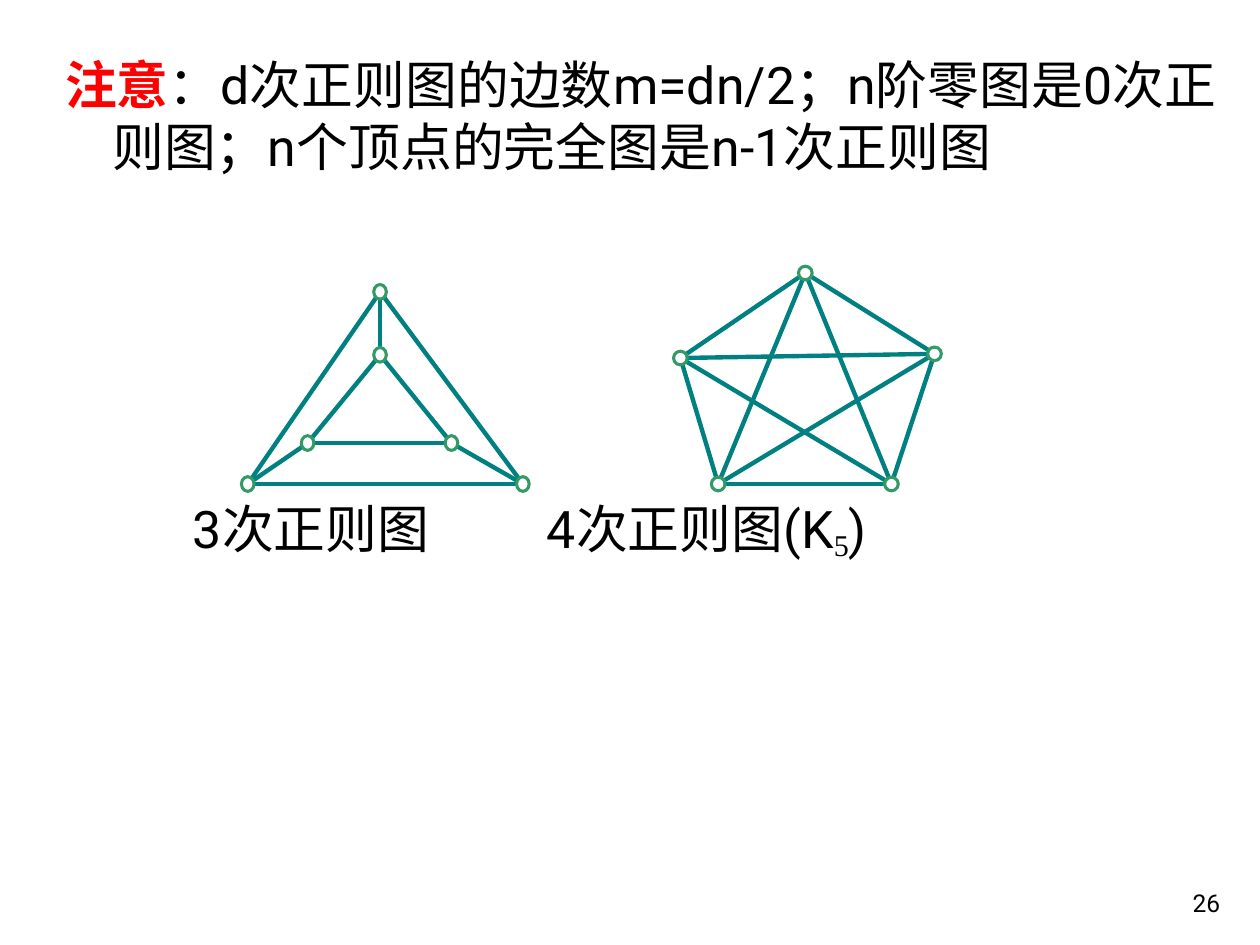
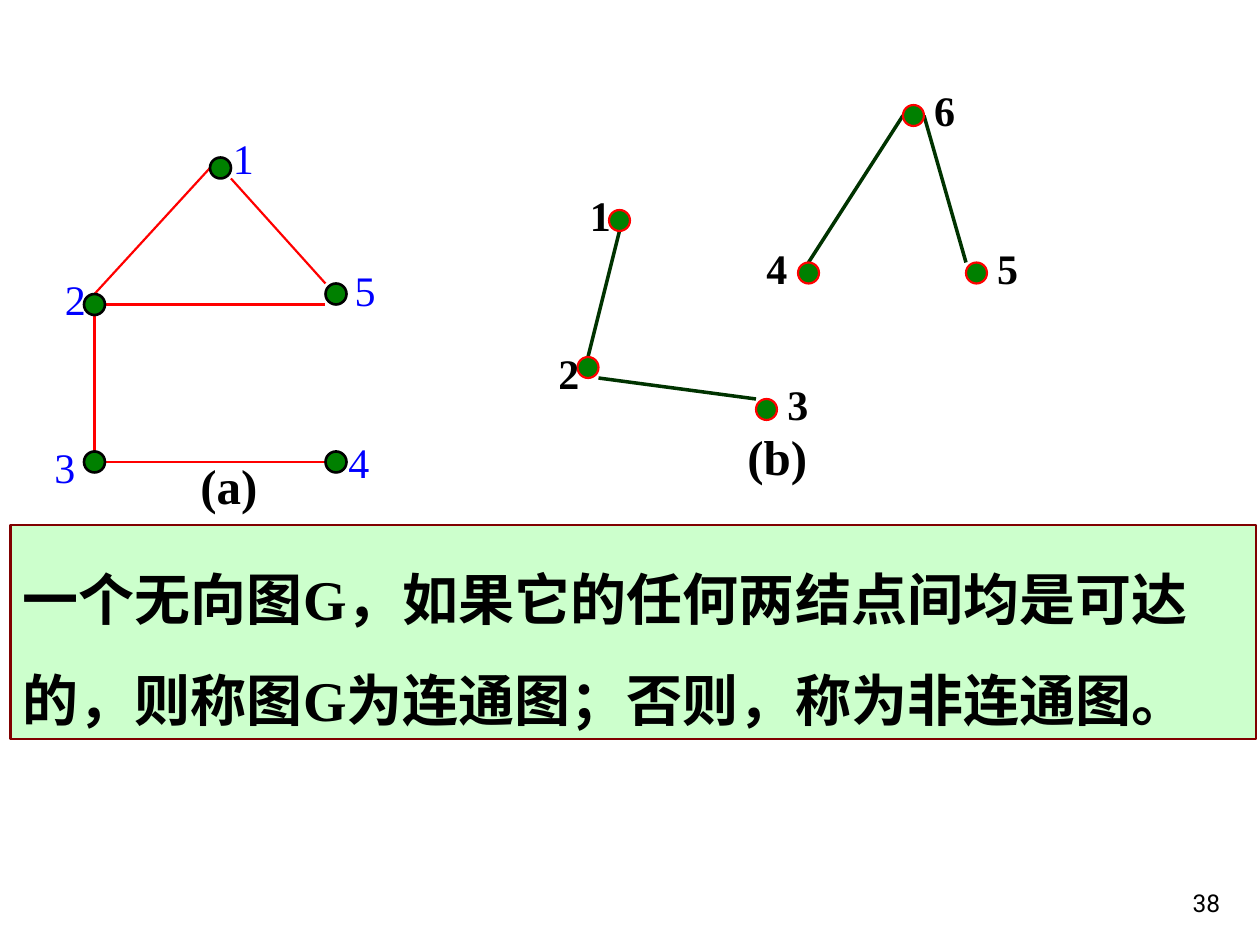
from itertools import combinations

from lxml import etree
from pptx import Presentation
from pptx import util as u
from pptx.dml.color import RGBColor
from pptx.enum import shapes, text
from pptx.oxml import ns

COLUMNS, ROWS = 120, 90
SLIDE_WIDTH, SLIDE_HEIGHT = u.Inches(10), u.Inches(7.5)
COLORS = {
    "ink": "000000", "alert": "FF0000", "paper": "FFFFFF", "teal": "008080",
    "ring": "339966", "vertex": "008000", "label": "0000FF", "pine": "003300",
    "panel": "CCFFCC", "maroon": "800000",
}
SANS, SERIF, HAN = "Roboto", "Times New Roman", "Noto Sans CJK SC"
NOTE_SIZE = 29.6

PRISM = [(23.6, 46.1), (36.2, 27.8), (49.8, 46.1), (29.3, 42.2), (36.2, 33.8), (43, 42.2)]
PRISM_EDGES = [(0, 1), (1, 2), (0, 2), (3, 4), (4, 5), (3, 5), (0, 3), (1, 4), (2, 5)]
PENTAGON = [(76.7, 26), (64.8, 34.1), (89, 33.7), (68.4, 46.1), (84.9, 46.1)]

CONNECTED = [(21, 16), (9, 29), (9, 44), (32, 44), (32, 28)]
CONNECTED_LINES = [((20, 16), (9, 28)), ((10, 29), (31, 29)), ((9, 30), (9, 43)),
                   ((10, 44), (31, 44)), ((22, 17), (31, 27))]
CONNECTED_LABELS = [(21, 12), (5, 25.5), (4, 41.5), (32, 41), (32.6, 24.6)]

SPLIT = [(59, 21), (56, 35), (73, 39), (77, 26), (93, 26), (87, 11)]
SPLIT_LINES = [((56, 34), (59, 22)), ((57, 36), (72, 38)),
               ((77, 25), (86, 11)), ((88, 11), (92, 25))]
SPLIT_LABELS = [(55, 17.5), (52, 32.5), (73.8, 35.5), (71.8, 22.5), (93.8, 22.5), (87.8, 7.5)]


def color(name):
    return RGBColor.from_string(COLORS[name])


def across(columns):
    return round(SLIDE_WIDTH * columns / COLUMNS)


def down(rows):
    return round(SLIDE_HEIGHT * rows / ROWS)


def place(left, top, width, height):
    return across(left), down(top), across(width), down(height)


def add_run(paragraph, words, size, font=SANS, ink="ink", bold=False, baseline=None):
    run = paragraph.add_run()
    run.text = words
    run.font.size = u.Pt(size)
    run.font.bold = bold
    run.font.color.rgb = color(ink)
    run.font.name = font
    properties = run._r.get_or_add_rPr()
    etree.SubElement(properties, ns.qn("a:ea")).set("typeface", HAN)
    if baseline:
        properties.set("baseline", str(baseline))


def add_label(slide, box, words, size, wrap=False, **style):
    frame = slide.shapes.add_textbox(*place(*box)).text_frame
    frame.word_wrap = wrap
    add_run(frame.paragraphs[0], words, size, **style)
    return frame


def add_page_number(slide, number):
    frame = add_label(slide, (92.4, 82, 25, 6), number, 14, wrap=True)
    frame.vertical_anchor = text.MSO_ANCHOR.BOTTOM
    frame.paragraphs[0].alignment = text.PP_ALIGN.RIGHT


def add_filled(slide, kind, box, fill, line, weight):
    shape = slide.shapes.add_shape(kind, *place(*box))
    shape.shadow.inherit = False
    shape.fill.solid()
    shape.fill.fore_color.rgb = color(fill)
    shape.line.color.rgb = color(line)
    shape.line.width = u.Pt(weight)
    return shape


def add_edge(slide, start, end, ink, weight):
    edge = slide.shapes.add_connector(
        shapes.MSO_CONNECTOR.STRAIGHT,
        across(start[0]), down(start[1]), across(end[0]), down(end[1]))
    edge.line.color.rgb = color(ink)
    edge.line.width = u.Pt(weight)
    etree.SubElement(edge._element.spPr, ns.qn("a:effectLst"))


def add_graph(slide, vertices, lines, edge_style, vertex_style, size):
    for start, end in lines:
        add_edge(slide, start, end, *edge_style)
    width, height = size
    for x, y in vertices:
        box = (x - width / 2, y - height / 2, width, height)
        add_filled(slide, shapes.MSO_SHAPE.OVAL, box, *vertex_style)


def add_vertex_labels(slide, positions, **style):
    for number, (left, top) in enumerate(positions, 1):
        add_label(slide, (left, top, 4.3, 6), str(number), 24, font=SERIF, **style)


def add_note(slide):
    title, body = slide.placeholders[0], slide.placeholders[1]
    title._element.getparent().remove(title._element)
    body.left, body.top, body.width, body.height = place(5, 4.4, 112.6, 14)
    frame = body.text_frame
    frame.auto_size = text.MSO_AUTO_SIZE.NONE
    frame.vertical_anchor = text.MSO_ANCHOR.TOP

    note = frame.paragraphs[0]
    properties = note._p.get_or_add_pPr()
    properties.set("marL", str(across(4.5)))
    properties.set("indent", str(-across(4.5)))
    etree.SubElement(properties, ns.qn("a:buNone"))
    note.space_before = u.Pt(0)
    add_run(note, "注意", NOTE_SIZE, ink="alert", bold=True)
    add_run(note, "：d次正则图的边数m=dn/2；n阶零图是0次正则图；n个顶点的完全图是n-1次正则图", NOTE_SIZE)


def add_captions(slide):
    top, height = 46.7, 7
    add_label(slide, (17.2, top, 30, height), "3次正则图", NOTE_SIZE, wrap=True)
    frame = add_label(slide, (50.9, top, 38, height), "4次正则图(K", NOTE_SIZE, wrap=True)
    caption = frame.paragraphs[0]
    add_run(caption, "5", NOTE_SIZE, font=SERIF, baseline=-16000)
    add_run(caption, ")", NOTE_SIZE)


def add_definition(slide, lines):
    panel = add_filled(slide, shapes.MSO_SHAPE.RECTANGLE, (1, 50, 118.6, 20.4),
                       "panel", "maroon", 1.25)
    frame = panel.text_frame
    frame.word_wrap = True
    frame.vertical_anchor = text.MSO_ANCHOR.TOP
    for index, (before, after) in enumerate(lines):
        paragraph = frame.add_paragraph() if index else frame.paragraphs[0]
        paragraph.alignment = text.PP_ALIGN.LEFT
        paragraph.line_spacing = 1.5
        for words, font in ((before, HAN), ("G", SERIF), (after, HAN)):
            add_run(paragraph, words, 32, font=font, bold=True)


def build_regular_graphs(presentation):
    slide = presentation.slides.add_slide(presentation.slide_layouts[1])
    add_note(slide)
    add_captions(slide)
    edge_style, vertex_style = ("teal", 2.5), ("paper", "ring", 1.75)
    add_graph(slide, PENTAGON, combinations(PENTAGON, 2), edge_style, vertex_style, (1.3, 1.3))
    prism_lines = [(PRISM[start], PRISM[end]) for start, end in PRISM_EDGES]
    add_graph(slide, PRISM, prism_lines, edge_style, vertex_style, (1.2, 1.4))
    add_page_number(slide, "26")


def build_connectivity(presentation):
    slide = presentation.slides.add_slide(presentation.slide_layouts[6])
    add_definition(slide, [("一个无向图", "，如果它的任何两结点间均是可达"),
                           ("的，则称图", "为连通图；否则，称为非连通图。")])
    add_graph(slide, CONNECTED, CONNECTED_LINES, ("alert", 1.25), ("vertex", "ink", 1.5), (2, 2))
    add_vertex_labels(slide, CONNECTED_LABELS, ink="label")
    add_graph(slide, SPLIT, SPLIT_LINES, ("pine", 2), ("vertex", "alert", 1.25), (2, 2))
    add_vertex_labels(slide, SPLIT_LABELS, bold=True)
    for words, left, top in (("(a)", 17.9, 42.8), ("(b)", 70, 40)):
        add_label(slide, (left, top, 10, 6.8), words, 28, wrap=True, font=SERIF, bold=True)
    add_page_number(slide, "38")


def main():
    presentation = Presentation()
    presentation.slide_width, presentation.slide_height = SLIDE_WIDTH, SLIDE_HEIGHT
    build_regular_graphs(presentation)
    build_connectivity(presentation)
    presentation.save("out.pptx")


if __name__ == "__main__":
    main()
